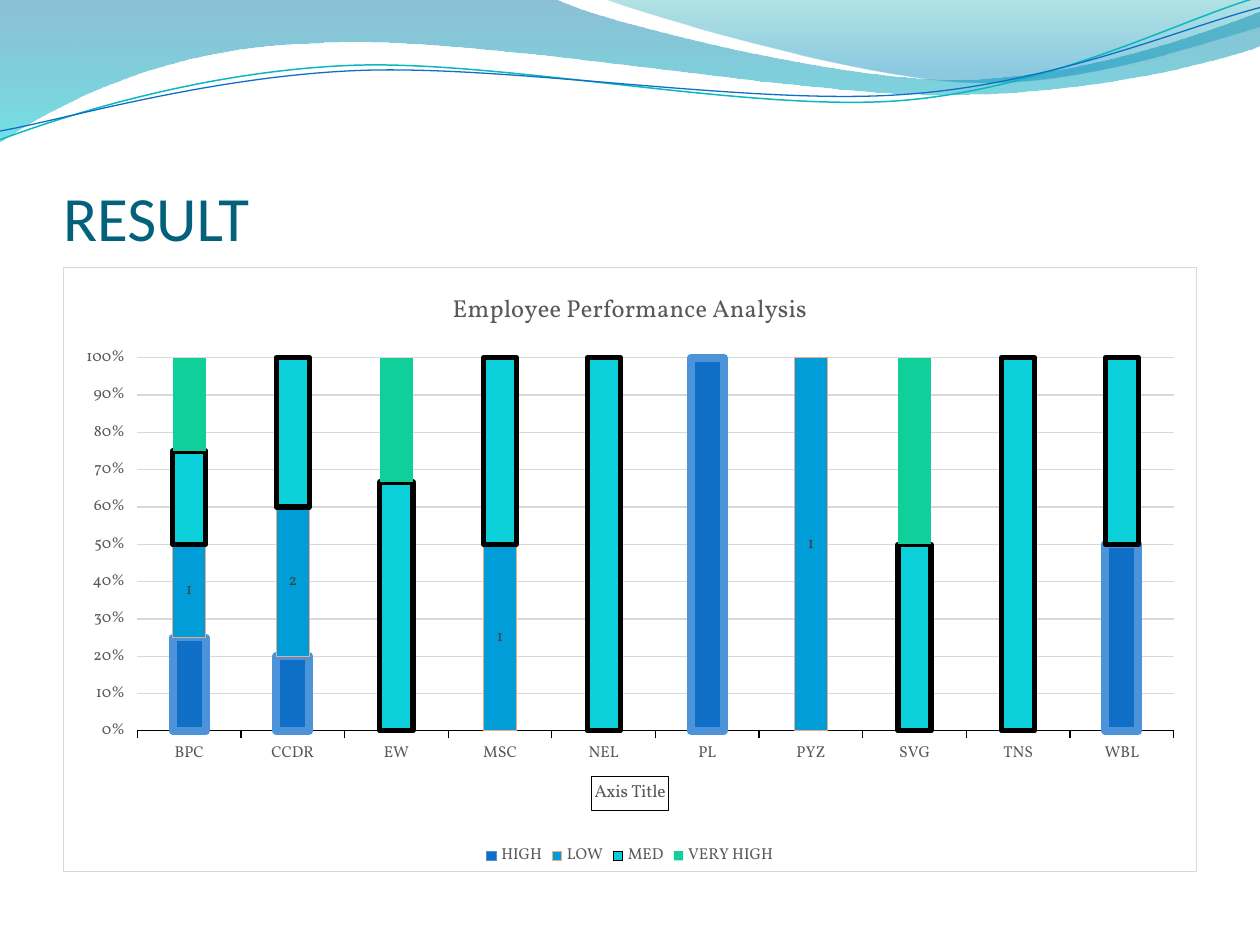
from math import cos, radians, sin

from lxml.etree import SubElement
from pptx import Presentation
from pptx.chart.data import CategoryChartData
from pptx.dml.color import RGBColor
from pptx.enum.chart import XL_CHART_TYPE, XL_LEGEND_POSITION, XL_TICK_MARK
from pptx.enum.text import MSO_ANCHOR, MSO_AUTO_SIZE, PP_ALIGN
from pptx.oxml import parse_xml
from pptx.oxml.ns import nsdecls, qn
from pptx.util import Pt

PX = 9144  # EMU in one px, at 100 px to the inch
CHART_FONT = "Vollkorn"
GREY, GRID, BLACK = "595959", "D9D9D9", "000000"
STRAND_ROTATION = 357.3

# Each outline is a start point, then lines (x, y) and curves (x1, y1, x2, y2, x, y).
# Boxes are left, top, width, height. Stops are (position, colour, opacity in percent).
BANDS = [
    ((-1, -1, 1002, 114),
     [(0, 0), (440, -1), (476, 17, 664, 63, 758, 63), (853, 63, 958, 26, 1000, 9),
      (1001, 36), (983, 44, 870, 76, 746, 75), (622, 75, 382, 28, 257, 34),
      (129, 36, 46, 83, -1, 113), (0, 0)],
     [(0, "0074A1", 45), (1, "00C6CF", 55)]),
    ((479, -1, 521, 70),
     [(479, -1), (509, 11, 682, 62, 769, 65), (856, 69, 961, 32, 1000, 21), (1000, 0),
      (479, -1)],
     [(0, "00A1A9", 30), (0.8, "008BBF", 45)]),
]
STRANDS = [
    ((-2, 22, 1002, 71),
     [(0, 111), (48, 93, 158, 57, 277, 52), (395, 47, 593, 89, 713, 80),
      (833, 71, 938, 15, 998, -2)], "0AB8BF", 0.85),
    ((-2, 30, 1003, 58),
     [(0, 104), (47, 96, 164, 61, 283, 56), (403, 51, 597, 84, 717, 75),
      (836, 67, 941, 21, 1000, 6)], "0F6FC6", 0.75),
]

CATEGORIES = ["BPC", "CCDR", "EW", "MSC", "NEL", "PL", "PYZ", "SVG", "TNS", "WBL"]
# name, values, fill, line colour, line width
SERIES = [
    ("HIGH", [1, 1, None, None, None, 2, None, None, None, 1], "0F6FC6", "4D93D9", 4.5),
    ("LOW", [1, 2, None, 1, None, None, 1, None, None, None], "009DD9", "F1A983", 0.75),
    ("MED", [1, 2, 2, 1, 2, None, None, 1, 1, 1], "0BD0D9", BLACK, 3),
    ("VERY HIGH", [1, None, 1, None, None, None, None, 1, None, None], "10CF9B", None, 0),
]


def color(hex_value):
    return RGBColor.from_string(hex_value)


def set_all(target, **values):
    for name, value in values.items():
        setattr(target, name, value)


def set_font(font, size, hex_value, name=CHART_FONT):
    set_all(font, size=Pt(size), name=name, bold=False)
    font.color.rgb = color(hex_value)


def set_line(line, hex_value, width):
    line.color.rgb = color(hex_value)
    line.width = Pt(width)


def add_outline(slide, origin, box, outline, rotation=0):
    """Add a curved shape in its box; outline points are given as they lie once rotated."""
    left, top, width, height = box
    builder = slide.shapes.build_freeform(left * PX, top * PX)
    builder.add_line_segments([((left + width) * PX, (top + height) * PX)], close=False)
    shape = builder.convert_to_shape(origin[0] * PX, origin[1] * PX)
    shape.shadow.inherit = False
    shape.rotation = rotation

    cosine, sine = cos(radians(-rotation)), sin(radians(-rotation))
    geometry = next(shape._element.iter(qn("a:path")))
    for child in list(geometry):
        geometry.remove(child)
    for index, segment in enumerate(outline):
        tag = "a:moveTo" if index == 0 else "a:lnTo" if len(segment) == 2 else "a:cubicBezTo"
        command = SubElement(geometry, qn(tag))
        for x, y in zip(segment[::2], segment[1::2]):
            dx, dy = x - left - width / 2, y - top - height / 2
            local_x = width / 2 + dx * cosine - dy * sine
            local_y = height / 2 + dx * sine + dy * cosine
            SubElement(command, qn("a:pt"), x=str(round(local_x * PX)), y=str(round(local_y * PX)))
    if outline[0] == outline[-1]:
        SubElement(geometry, qn("a:close"))
    return shape


def fill_gradient(shape, stops):
    fill = shape.fill
    fill.gradient()
    fill.gradient_angle = 270
    for stop, (position, hex_value, _) in zip(fill.gradient_stops, stops):
        stop.position = position
        stop.color.rgb = color(hex_value)
    fills = shape._element.spPr.iter(qn("a:srgbClr"))
    for element, (_, _, opacity) in zip(fills, stops):
        SubElement(element, qn("a:alpha"), val=str(opacity * 1000))


def add_waves(slide, left, top):
    for box, outline, stops in BANDS:
        shape = add_outline(slide, (left, top), box, outline)
        fill_gradient(shape, stops)
        shape.line.fill.background()
    for box, outline, hex_value, width in STRANDS:
        shape = add_outline(slide, (left, top), box, outline, STRAND_ROTATION)
        shape.fill.background()
        set_line(shape.line, hex_value, width)


def add_title(slide, left, top, width, height):
    title = slide.shapes.title
    set_all(title, left=left * PX, top=top * PX, width=width * PX, height=height * PX)
    frame = title.text_frame
    frame.text = "RESULT"
    set_all(frame, vertical_anchor=MSO_ANCHOR.BOTTOM, auto_size=MSO_AUTO_SIZE.NONE,
            margin_left=0, margin_right=0, margin_top=5 * PX, margin_bottom=0)
    paragraph = frame.paragraphs[0]
    paragraph.alignment = PP_ALIGN.LEFT
    set_font(paragraph.runs[0].font, 36, "04617B", "Calibri")


def format_series(plot):
    set_all(plot, gap_width=214, overlap=100, vary_by_categories=False)
    for series, (name, _, fill, line, width) in zip(plot.series, SERIES):
        series.format.fill.solid()
        series.format.fill.fore_color.rgb = color(fill)
        if line:
            set_line(series.format.line, line, width)
        else:
            series.format.line.fill.background()
        if name == "LOW":
            series.data_labels.show_value = True
            set_font(series.data_labels.font, 9, "404040")


def add_default_axis_title(axis):
    """Show the automatic axis title, formatted but without text of its own."""
    axis.has_title = True
    set_line(axis.axis_title.format.line, BLACK, 0.75)
    axis.axis_title._element.append(parse_xml(
        f'<c:txPr {nsdecls("c", "a")}><a:bodyPr/><a:p><a:pPr><a:defRPr sz="1000" b="0">'
        f'<a:solidFill><a:srgbClr val="{GREY}"/></a:solidFill>'
        f'<a:latin typeface="{CHART_FONT}"/></a:defRPr></a:pPr>'
        '<a:endParaRPr lang="en-US"/></a:p></c:txPr>'))


def format_axes(chart):
    category_axis, value_axis = chart.category_axis, chart.value_axis
    for axis in (category_axis, value_axis):
        set_all(axis, major_tick_mark=XL_TICK_MARK.OUTSIDE, minor_tick_mark=XL_TICK_MARK.NONE)
        set_font(axis.tick_labels.font, 9, GREY)
    set_line(category_axis.format.line, BLACK, 0.75)
    add_default_axis_title(category_axis)
    value_axis.major_unit = 0.1
    value_axis.format.line.fill.background()
    set_line(value_axis.major_gridlines.format.line, GRID, 0.75)
    set_all(value_axis.tick_labels, number_format="0%", number_format_is_linked=False)


def frame_chart(chart):
    """Give the chart area a white fill and a thin border."""
    area = parse_xml(
        f'<c:spPr {nsdecls("c", "a")}>'
        '<a:solidFill><a:srgbClr val="FFFFFF"/></a:solidFill>'
        f'<a:ln w="{Pt(0.75)}"><a:solidFill><a:srgbClr val="{GRID}"/></a:solidFill></a:ln>'
        '</c:spPr>')
    chart._chartSpace.find(qn("c:chart")).addnext(area)


def add_performance_chart(slide, left, top, width, height):
    data = CategoryChartData()
    data.categories = CATEGORIES
    for name, values, *_ in SERIES:
        data.add_series(name, values)
    chart = slide.shapes.add_chart(
        XL_CHART_TYPE.COLUMN_STACKED_100,
        left * PX, top * PX, width * PX, height * PX, data).chart
    set_font(chart.font, 10, BLACK)
    title = chart.chart_title.text_frame
    title.text = "Employee Performance Analysis"
    set_font(title.paragraphs[0].runs[0].font, 14, GREY)
    chart.has_legend = True
    set_all(chart.legend, position=XL_LEGEND_POSITION.BOTTOM, include_in_layout=False)
    set_font(chart.legend.font, 9, GREY)
    format_series(chart.plots[0])
    format_axes(chart)
    frame_chart(chart)


def main():
    presentation = Presentation()
    set_all(presentation, slide_width=1000 * PX, slide_height=750 * PX)
    slide = presentation.slides.add_slide(presentation.slide_layouts[5])
    add_waves(slide, 0, 0)
    add_title(slide, 50, 77, 900, 125)
    add_performance_chart(slide, 50, 212, 900, 480)
    presentation.save("out.pptx")


if __name__ == "__main__":
    main()
